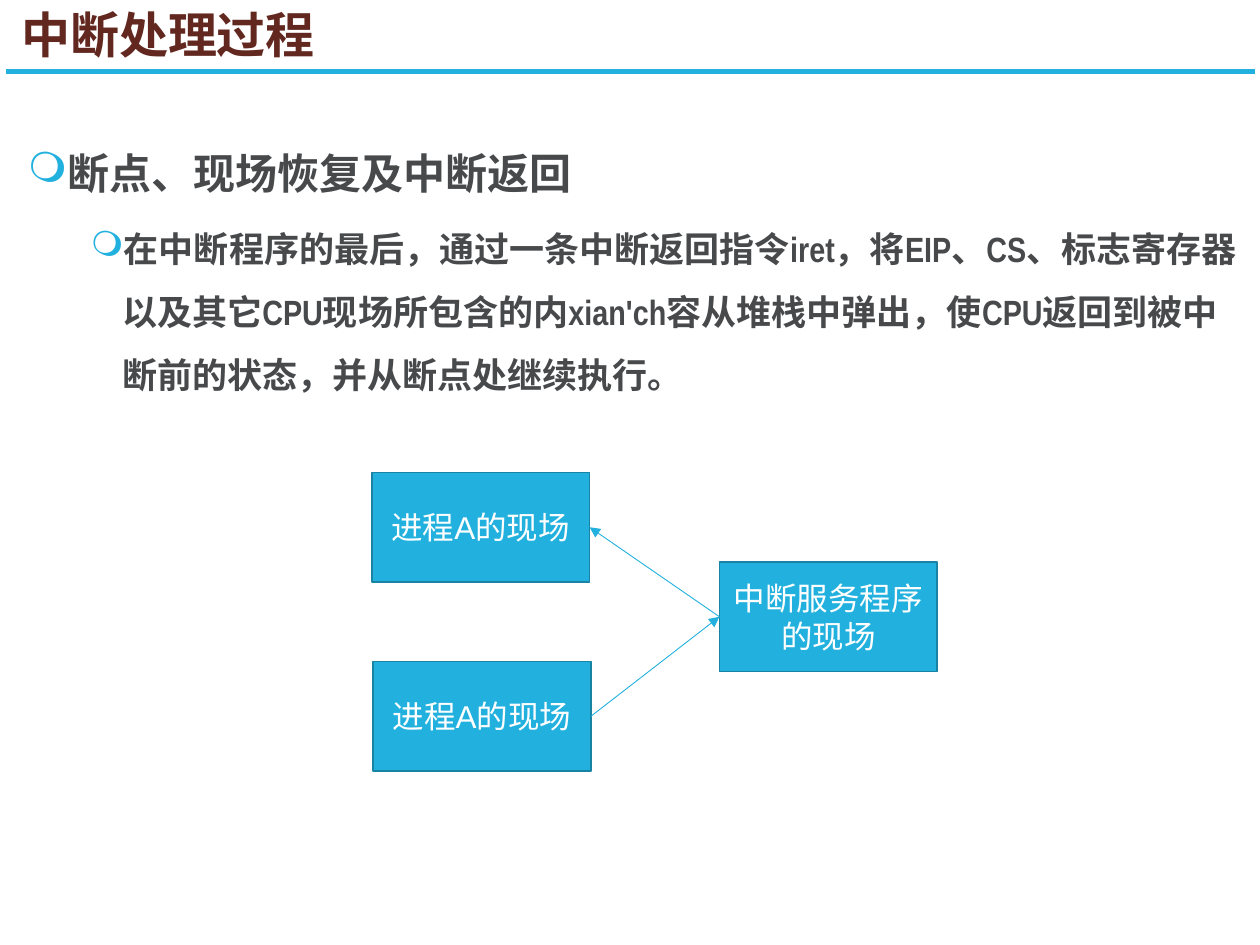
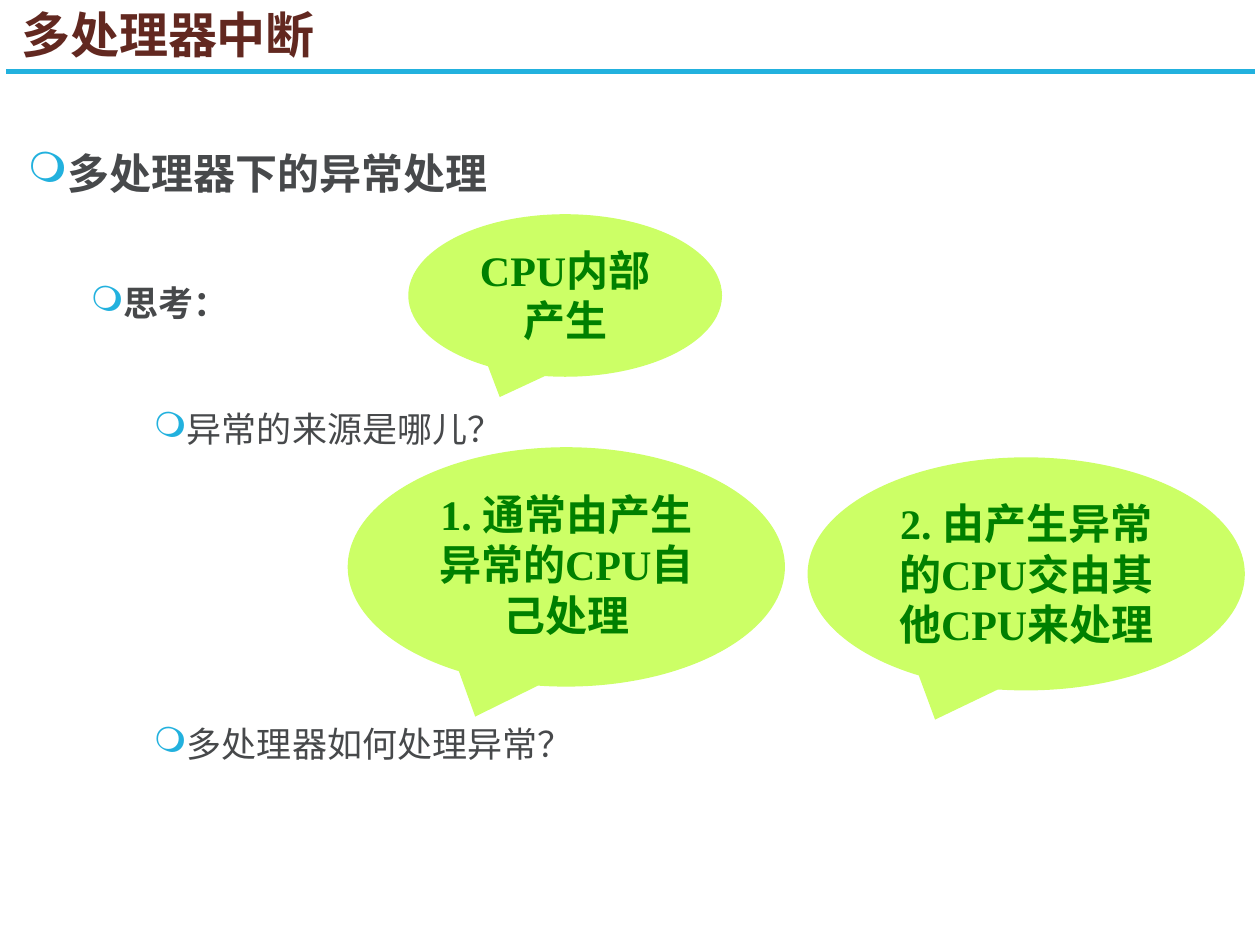
from dataclasses import dataclass

from lxml import etree
from pptx import Presentation
from pptx.dml.color import RGBColor
from pptx.enum.lang import MSO_LANGUAGE_ID
from pptx.enum.shapes import MSO_CONNECTOR, MSO_SHAPE
from pptx.enum.text import MSO_ANCHOR, MSO_AUTO_SIZE, PP_ALIGN
from pptx.oxml.ns import qn
from pptx.util import Inches, Pt

STRAIGHT = MSO_CONNECTOR.STRAIGHT
RECTANGLE, CALLOUT = MSO_SHAPE.RECTANGLE, MSO_SHAPE.OVAL_CALLOUT
TOP, MIDDLE = MSO_ANCHOR.TOP, MSO_ANCHOR.MIDDLE
GROW = MSO_AUTO_SIZE.SHAPE_TO_FIT_TEXT
CENTER = PP_ALIGN.CENTER
CHINESE = MSO_LANGUAGE_ID.SIMPLIFIED_CHINESE
LEFT_SITE, RIGHT_SITE = 1, 3
COLUMNS, ROWS = 100, 75
BLANK_LINE = 36


@dataclass(frozen=True)
class TextStyle:
    """Font, size, colour and weight of one kind of text."""
    face: str
    size: int
    color: str
    bold: bool = False


@dataclass(frozen=True)
class Theme:
    """Colours and type styles shared by the slides."""
    accent: str = "22B1DE"
    accent_edge: str = "1983A4"
    bubble: str = "CCFF66"
    title: TextStyle = TextStyle("Noto Sans CJK SC", 28, "622820", True)
    outline: tuple = (
        TextStyle("Arial Narrow", 24, "47494B", True),
        TextStyle("Arial Narrow", 20, "47494B", True),
        TextStyle("Arial", 20, "47494B"),
    )
    box: TextStyle = TextStyle("Arial", 18, "FFFFFF")
    answer: TextStyle = TextStyle("Times New Roman", 24, "008000", True)


def rgb(value):
    """Return a colour from its hex value."""
    return RGBColor.from_string(value)


class Deck:
    """Draws themed elements on the current slide of a grid."""

    def __init__(self, theme):
        """Open an empty presentation with a 4:3 page."""
        self.theme = theme
        self.show = Presentation()
        self.show.slide_width, self.show.slide_height = Inches(10), Inches(7.5)
        self.column = self.show.slide_width / COLUMNS
        self.row = self.show.slide_height / ROWS
        self.slide = None

    def place(self, left, top, width, height):
        """Convert a grid area to slide lengths."""
        return (round(left * self.column), round(top * self.row),
                round(width * self.column), round(height * self.row))

    def set_text(self, paragraph, text, style):
        """Put styled text into a paragraph."""
        paragraph.text = text
        font = paragraph.font
        font.name, font.size, font.bold = style.face, Pt(style.size), style.bold
        font.color.rgb = rgb(style.color)
        font.language_id = CHINESE

    def text_frame(self, area, anchor):
        """Add a wrapping text box and return its frame."""
        frame = self.slide.shapes.add_textbox(*self.place(*area)).text_frame
        frame.word_wrap, frame.vertical_anchor = True, anchor
        return frame

    def line(self, start, end, weight):
        """Add a straight accent line between two grid points."""
        link = self.slide.shapes.add_connector(
            STRAIGHT, *self.place(*start, *end))
        link.line.color.rgb, link.line.width = rgb(self.theme.accent), Pt(weight)
        etree.SubElement(link._element.spPr, qn("a:effectLst"))
        return link

    def new_slide(self, title):
        """Start a slide with its title and rule."""
        self.slide = self.show.slides.add_slide(self.show.slide_layouts[6])
        self.line((0.5, 5.7), (99.6, 5.7), 3)
        heading = self.text_frame((0.7, 0.2, 91.9, 5.5), MIDDLE).paragraphs[0]
        heading.line_spacing = 0.9
        self.set_text(heading, title, self.theme.title)

    def outline(self, entries):
        """Add bulleted entries given as level, space before and text."""
        frame = self.text_frame((1.2, 9.2, 98.8, 61.4), TOP)
        for index, (level, space, text) in enumerate(entries):
            entry = frame.add_paragraph() if index else frame.paragraphs[0]
            self.bullet(entry, level)
            entry.line_spacing, entry.space_before = 1.5, Pt(space)
            self.set_text(entry, text, self.theme.outline[level])

    def bullet(self, entry, level):
        """Give a paragraph the ring bullet and indent of its level."""
        entry.level = level
        properties = entry._p.get_or_add_pPr()
        properties.set("marL", str(Inches(0.25 + 0.5 * level)))
        properties.set("indent", str(Inches(-0.25)))
        color = etree.SubElement(properties, qn("a:buClr"))
        etree.SubElement(color, qn("a:srgbClr"), val=self.theme.accent)
        etree.SubElement(properties, qn("a:buChar"), char="❍")

    def shape(self, kind, area, text, fill, style, anchor):
        """Add a filled shape with centred text."""
        shape = self.slide.shapes.add_shape(kind, *self.place(*area))
        shape.shadow.inherit = False
        shape.fill.solid()
        shape.fill.fore_color.rgb = rgb(fill)
        frame = shape.text_frame
        frame.word_wrap, frame.vertical_anchor = True, anchor
        frame.paragraphs[0].alignment = CENTER
        self.set_text(frame.paragraphs[0], text, style)
        return shape

    def box(self, left, top, text):
        """Add a context box."""
        box = self.shape(RECTANGLE, (left, top, 17.3, 8.7), text,
                         self.theme.accent, self.theme.box, MIDDLE)
        box.line.color.rgb, box.line.width = rgb(self.theme.accent_edge), Pt(1)
        return box

    def callout(self, area, text):
        """Add an answer in a speech bubble."""
        bubble = self.shape(CALLOUT, area, text, self.theme.bubble,
                            self.theme.answer, TOP)
        bubble.line.fill.background()
        bubble.text_frame.auto_size = GROW

    def arrow(self, source, source_site, target, target_site):
        """Join two boxes with an arrow."""
        link = self.line((0, 0), (0, 0), 0.5)
        link.begin_connect(source, source_site)
        link.end_connect(target, target_site)
        etree.SubElement(link._element.spPr.find(qn("a:ln")), qn("a:tailEnd"),
                         type="triangle")


def interrupt_return(deck):
    """Build the slide on returning from an interrupt."""
    deck.new_slide("中断处理过程")
    deck.outline([
        (0, 0, "断点、现场恢复及中断返回"),
        (1, 5, "在中断程序的最后，通过一条中断返回指令iret，将EIP、CS、标志寄存器"
               "以及其它CPU现场所包含的内xian'ch容从堆栈中弹出，使CPU返回到被中断前"
               "的状态，并从断点处继续执行。"),
    ])
    restored = deck.box(29.5, 37.5, "进程A的现场")
    interrupted = deck.box(29.6, 52.5, "进程A的现场")
    service = deck.box(57.1, 44.6, "中断服务程序的现场")
    deck.arrow(interrupted, RIGHT_SITE, service, LEFT_SITE)
    deck.arrow(service, LEFT_SITE, restored, RIGHT_SITE)


def multiprocessor_interrupt(deck):
    """Build the slide on exceptions with several processors."""
    deck.new_slide("多处理器中断")
    deck.outline([
        (0, 0, "多处理器下的异常处理"),
        (1, BLANK_LINE, "思考："),
        (2, BLANK_LINE, "异常的来源是哪儿？"),
        (2, 4 * BLANK_LINE, "多处理器如何处理异常？"),
    ])
    deck.callout((32.4, 17, 24.9, 12.9), "CPU内部产生")
    deck.callout((27.6, 35.5, 34.7, 19), "1. 通常由产生异常的CPU自己处理")
    deck.callout((64.1, 36.3, 34.7, 18.5), "2. 由产生异常的CPU交由其他CPU来处理")


def main():
    """Build and save the presentation."""
    deck = Deck(Theme())
    interrupt_return(deck)
    multiprocessor_interrupt(deck)
    deck.show.save("out.pptx")


if __name__ == "__main__":
    main()
